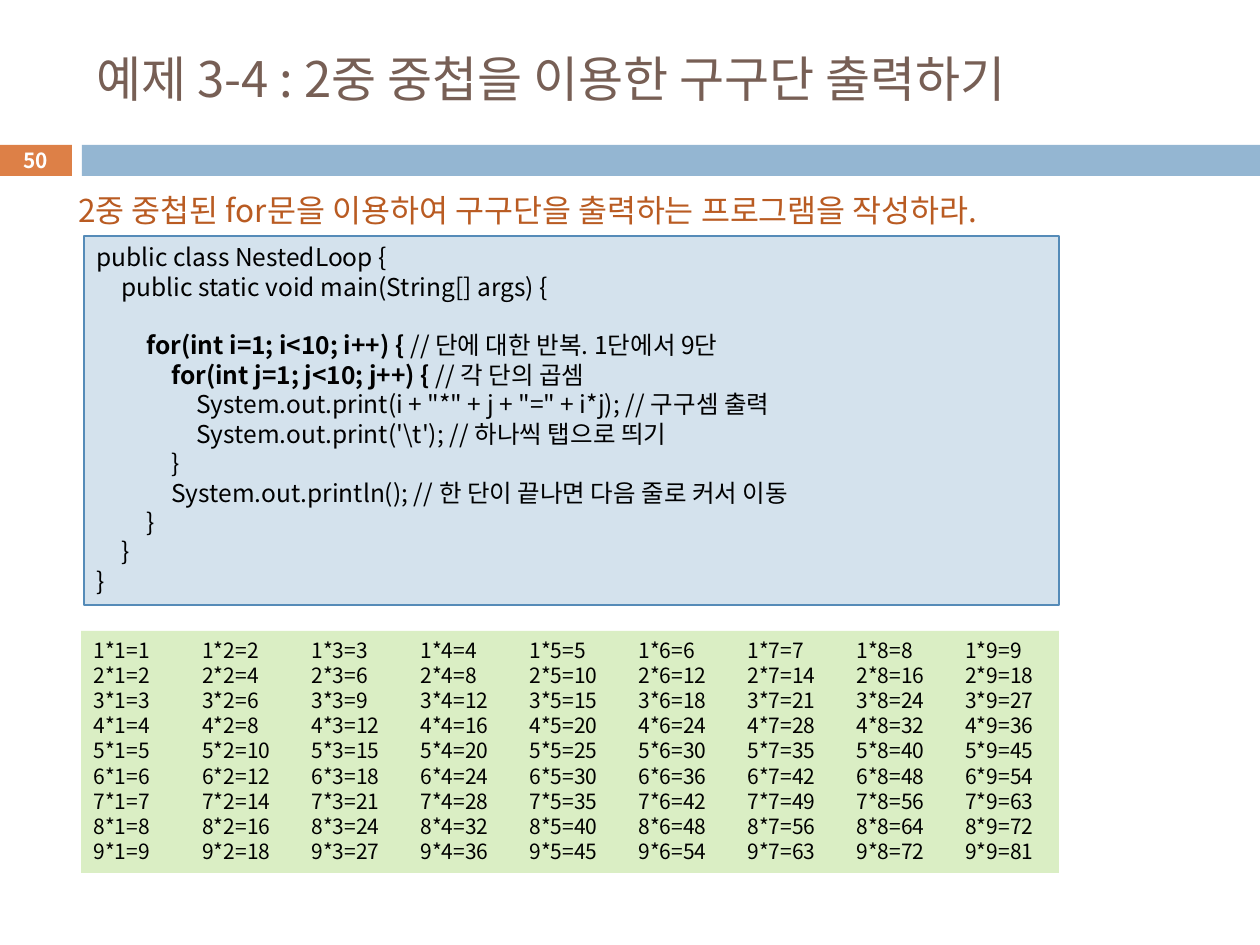
import pptx
import pptx.dml.color
import pptx.enum.shapes
import pptx.enum.text
import pptx.oxml.ns
import pptx.util
from lxml import etree

PX_PER_INCH = 126
FONT = "Noto Sans CJK KR"
LINE_HEIGHT = 1.2
ALIGN = pptx.enum.text.PP_ALIGN
ANCHOR = pptx.enum.text.MSO_ANCHOR

# Each code line: indent depth, bold part, plain part
CODE = [
    (0, "", "public class NestedLoop {"),
    (1, "", "public static void main(String[] args) {"),
    (0, "", ""),
    (2, "for(int i=1; i<10; i++) { ", "// 단에 대한 반복. 1단에서 9단"),
    (3, "for(int j=1; j<10; j++) { ", "// 각 단의 곱셈"),
    (4, "", 'System.out.print(i + "*" + j + "=" + i*j); // 구구셈 출력'),
    (4, "", "System.out.print('\\t'); // 하나씩 탭으로 띄기"),
    (3, "", "}"),
    (3, "", "System.out.println(); // 한 단이 끝나면 다음 줄로 커서 이동"),
    (2, "", "}"),
    (1, "", "}"),
    (0, "", "}"),
]


def px(n):
    return pptx.util.Emu(round(n * 914400 / PX_PER_INCH))


def rgb(color):
    return pptx.dml.color.RGBColor.from_string(color)


def sub(parent, tag, **attrs):
    return etree.SubElement(parent, pptx.oxml.ns.qn(tag), attrs)


def add_tabs(p, step, count):
    """Set count left tab stops, step px apart."""
    tabs = sub(p._p.get_or_add_pPr(), "a:tabLst")
    for i in range(1, count + 1):
        sub(tabs, "a:tab", pos=str(px(i * step)), algn="l")


def write(s, lines, size=14, color="000000", bold=False, align=ALIGN.LEFT,
          anchor=ANCHOR.TOP, tab=0, tab_count=0):
    """Fill s with lines, each a list of (text, bold) runs or a plain string."""
    tf = s.text_frame
    tf.word_wrap = True
    tf.vertical_anchor = anchor
    for i, line in enumerate(lines):
        p = tf.paragraphs[0] if i == 0 else tf.add_paragraph()
        if tab:
            add_tabs(p, tab, tab_count)
        p.alignment = align
        p.line_spacing = pptx.util.Pt(round(size * LINE_HEIGHT, 1))
        for text, run_bold in [(line, bold)] if isinstance(line, str) else line:
            r = p.add_run()
            r.text = text
            r.font.size = pptx.util.Pt(size)
            r.font.bold = run_bold
            r.font.color.rgb = rgb(color)
            r.font.name = FONT
            sub(r.font._element, "a:ea", typeface=FONT)


class Deck:
    def __init__(self, width, height):
        self.prs = pptx.Presentation()
        self.prs.slide_width = px(width)
        self.prs.slide_height = px(height)
        self.slide = None

    def add_slide(self):
        self.slide = self.prs.slides.add_slide(self.prs.slide_layouts[6])

    def rect(self, x, y, w, h, fill, line=None):
        s = self.slide.shapes.add_shape(
            pptx.enum.shapes.MSO_SHAPE.RECTANGLE, px(x), px(y), px(w), px(h))
        s.shadow.inherit = False
        s.fill.solid()
        s.fill.fore_color.rgb = rgb(fill)
        if line:
            s.line.color.rgb = rgb(line)
            s.line.width = pptx.util.Pt(0.75)
        else:
            s.line.fill.background()
        return s

    def text(self, x, y, w, h, text, **style):
        s = self.slide.shapes.add_textbox(px(x), px(y), px(w), px(h))
        write(s, [text], **style)


def main():
    deck = Deck(1260, 945)
    deck.add_slide()

    deck.rect(-1, 145, 73, 31, "DD8047")
    deck.rect(82, 145, 1178, 31, "94B6D2")
    deck.text(84, 31, 1124, 94, "예제 3-4 : 2중 중첩을 이용한 구구단 출력하기",
              size=28, color="775F55", anchor=ANCHOR.MIDDLE)

    code_box = deck.rect(84, 236, 975, 369, "D4E2ED", line="558BB8")
    code_lines = [[(part, part is strong) for part in ("\t" * depth, strong, plain) if part]
                  for depth, strong, plain in CODE]
    write(code_box, code_lines, tab=25, tab_count=4)

    deck.text(66, 185, 1077, 50,
              "2중 중첩된 for문을 이용하여 구구단을 출력하는 프로그램을 작성하라.",
              size=18, color="B95B22")

    output_box = deck.rect(81, 631, 978, 242, "DAEEC4")
    products = ["\t".join(f"{i}*{j}={i * j}" for j in range(1, 10))
                for i in range(1, 10)]
    write(output_box, products, size=12, tab=109, tab_count=8)

    deck.text(-1, 143, 73, 34, "50", size=11.9, color="FFFFFF", bold=True,
              align=ALIGN.CENTER, anchor=ANCHOR.MIDDLE)

    deck.prs.save("out.pptx")


if __name__ == "__main__":
    main()
